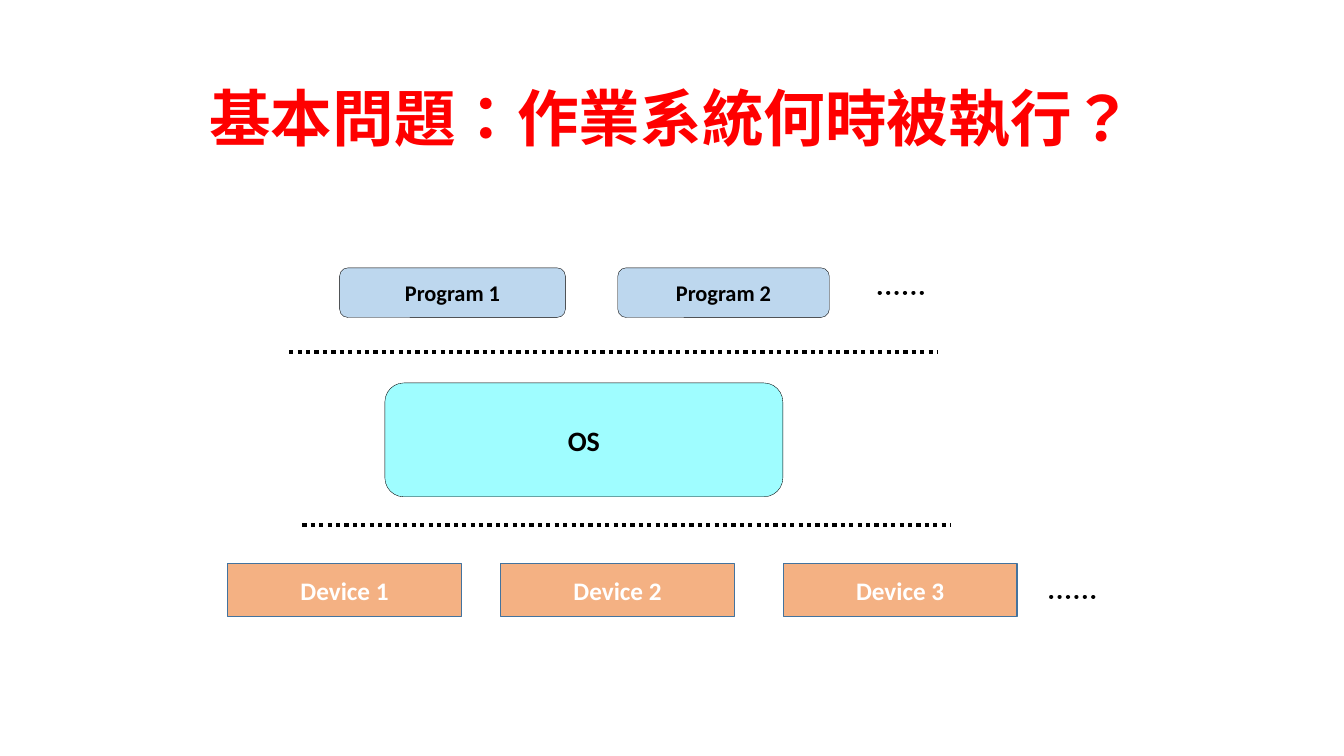
from dataclasses import dataclass

from lxml import etree
from pptx import Presentation
from pptx.dml.color import RGBColor
from pptx.enum.dml import MSO_LINE
from pptx.enum.lang import MSO_LANGUAGE_ID
from pptx.enum.shapes import MSO_CONNECTOR, MSO_SHAPE
from pptx.enum.text import MSO_ANCHOR, PP_ALIGN
from pptx.oxml.ns import qn
from pptx.util import Cm, Pt

ROUNDED = MSO_SHAPE.ROUNDED_RECTANGLE
RECT = MSO_SHAPE.RECTANGLE
STRAIGHT = MSO_CONNECTOR.STRAIGHT
DOTTED = MSO_LINE.ROUND_DOT
MIDDLE = MSO_ANCHOR.MIDDLE
CENTER = PP_ALIGN.CENTER
CHINESE = MSO_LANGUAGE_ID.TRADITIONAL_CHINESE


@dataclass(frozen=True)
class Theme:
    font: str = "Calibri"
    title: str = "FF0000"
    dark: str = "000000"
    light: str = "FFFFFF"
    program: str = "BDD7EE"
    system: str = "9FFDFF"
    device: str = "F4B183"
    device_edge: str = "43739E"
    title_size: int = 44
    system_size: int = 20
    device_size: int = 18
    program_size: int = 16
    thin: float = 0.25
    edge: float = 1
    dots: float = 3


THEME = Theme()


def write(tf, text, size, color):
    tf.word_wrap = True
    tf.vertical_anchor = MIDDLE
    p = tf.paragraphs[0]
    p.alignment = CENTER
    r = p.add_run()
    r.text = text
    r.font.name = THEME.font
    r.font.size = Pt(size)
    r.font.bold = True
    r.font.color.rgb = RGBColor.from_string(color)
    return r


def add_block(s, kind, box, text, size, color, fill, edge, weight):
    sp = s.shapes.add_shape(kind, *map(Cm, box))
    sp.shadow.inherit = False
    sp.fill.solid()
    sp.fill.fore_color.rgb = RGBColor.from_string(fill)
    sp.line.color.rgb = RGBColor.from_string(edge)
    sp.line.width = Pt(weight)
    write(sp.text_frame, text, size, color)


def add_dots(s, x, y, length, round_cap=False):
    line = s.shapes.add_connector(STRAIGHT, Cm(x), Cm(y), Cm(x + length), Cm(y))
    line.line.color.rgb = RGBColor.from_string(THEME.dark)
    line.line.width = Pt(THEME.dots)
    line.line.dash_style = DOTTED
    if round_cap:
        line.line._get_or_add_ln().set("cap", "rnd")
    etree.SubElement(line._element.spPr, qn("a:effectLst"))


def add_title(s, box, text):
    title = s.shapes.title
    title.left, title.top, title.width, title.height = map(Cm, box)
    r = write(title.text_frame, text, THEME.title_size, THEME.title)
    r.font.language_id = CHINESE


def add_programs(s, box):
    x, y, w, h = box
    for i, (dx, width) in enumerate([(0, 5.69), (7.01, 5.33)], 1):
        add_block(s, ROUNDED, (x + dx, y, width, h), f"Program {i}",
                  THEME.program_size, THEME.dark, THEME.program,
                  THEME.dark, THEME.thin)
    add_dots(s, x + w - 1.25, y + h / 2, 1.25, True)


def add_system(s, box):
    x, y, w, h = box
    length = 16.33
    add_dots(s, x - 2.41, y - 0.79, length)
    add_block(s, ROUNDED, box, "OS", THEME.system_size, THEME.dark,
              THEME.system, THEME.dark, THEME.thin)
    add_dots(s, x - 2.08, y + h + 0.71, length)


def add_devices(s, box):
    x, y, w, h = box
    for i, dx in enumerate([0, 6.88, 14], 1):
        add_block(s, RECT, (x + dx, y, 5.89, h), f"Device {i}",
                  THEME.device_size, THEME.light, THEME.device,
                  THEME.device_edge, THEME.edge)
    add_dots(s, x + w - 1.25, y + 0.84, 1.25, True)


def main():
    prs = Presentation()
    prs.slide_width, prs.slide_height = Cm(33.87), Cm(19.05)
    s = prs.slides.add_slide(prs.slide_layouts[0])
    subtitle = s.placeholders[1]._element
    subtitle.getparent().remove(subtitle)
    add_title(s, (2.54, 0.91, 28.78, 4.09), "基本問題：作業系統何時被執行？")
    add_programs(s, (8.56, 6.75, 14.86, 1.25))
    add_system(s, (9.7, 9.65, 10.03, 2.87))
    add_devices(s, (5.74, 14.2, 22, 1.34))
    prs.save("out.pptx")


if __name__ == "__main__":
    main()
